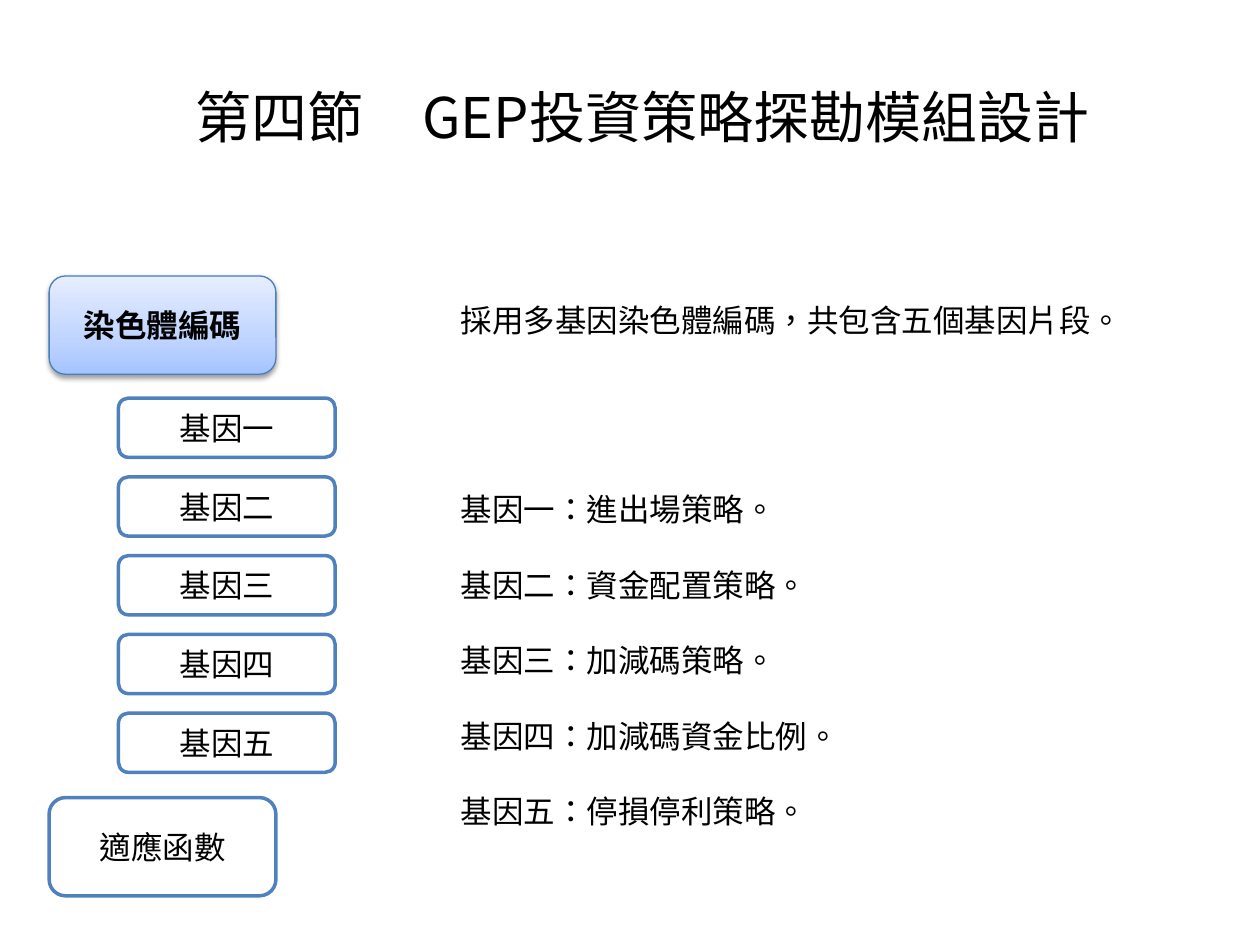
from copy import deepcopy

from lxml import etree
from pptx import Presentation
from pptx.dml.color import RGBColor
from pptx.enum.lang import MSO_LANGUAGE_ID
from pptx.enum.shapes import MSO_SHAPE
from pptx.enum.text import MSO_ANCHOR, PP_ALIGN
from pptx.oxml import parse_xml
from pptx.oxml.ns import nsdecls, qn
from pptx.util import Inches, Pt

ROUNDED = MSO_SHAPE.ROUNDED_RECTANGLE
CENTER, LEFT = PP_ALIGN.CENTER, PP_ALIGN.LEFT
MIDDLE, TOP = MSO_ANCHOR.MIDDLE, MSO_ANCHOR.TOP
CHINESE = MSO_LANGUAGE_ID.TRADITIONAL_CHINESE
FONT = "Noto Sans CJK SC"
COLORS = {"text": "000000", "white": "FFFFFF", "line": "4F81BD", "active_line": "4B7EBC"}
ACTIVE_STOPS = [(0, "A4C4FF"), (0.35, "BFD4FF"), (1, "E6EEFF")]
GENES = {
    "基因一": "進出場策略。",
    "基因二": "資金配置策略。",
    "基因三": "加減碼策略。",
    "基因四": "加減碼資金比例。",
    "基因五": "停損停利策略。",
}


class SlideBuilder:
    """Holds the style and the current slide, and adds each kind of element."""

    def __init__(self, prs):
        self.s = prs.slides.add_slide(prs.slide_layouts[5])

    def format_text(self, tf, size, align=LEFT, anchor=TOP, bold=False):
        tf.word_wrap = True
        tf.vertical_anchor = anchor
        for p in tf.paragraphs:
            p.alignment = align
            for r in p.runs:
                r.font.name = FONT
                r.font.size = Pt(size)
                r.font.bold = bold
                r.font.language_id = CHINESE
                r.font.color.rgb = RGBColor.from_string(COLORS["text"])
                r.font._element.find(qn("a:latin")).addnext(
                    parse_xml(f'<a:ea {nsdecls("a")} typeface="{FONT}"/>'))

    def title(self, text, left, top, width, height, tab):
        sp = self.s.shapes.title
        sp.left, sp.top, sp.width, sp.height = map(Inches, (left, top, width, height))
        tf = sp.text_frame
        tf.text = text
        tabs = etree.SubElement(tf.paragraphs[0]._p.get_or_add_pPr(), qn("a:tabLst"))
        etree.SubElement(tabs, qn("a:tab"), pos=str(Inches(tab)), algn="l")
        self.format_text(tf, 32, CENTER, MIDDLE)

    def box(self, text, left, top, width, height, active=False):
        sp = self.s.shapes.add_shape(ROUNDED, *map(Inches, (left, top, width, height)))
        sp.shadow.inherit = False
        sp.line.color.rgb = RGBColor.from_string(COLORS["active_line" if active else "line"])
        sp.line.width = Pt(0.75 if active else 2)
        if active:
            self.gradient(sp)
            self.drop_shadow(sp)
        else:
            sp.fill.solid()
            sp.fill.fore_color.rgb = RGBColor.from_string(COLORS["white"])
        sp.text_frame.text = text
        self.format_text(sp.text_frame, 18, CENTER, MIDDLE, active)

    def gradient(self, sp):
        sp.fill.gradient()
        sp.fill.gradient_angle = 90
        stops = sp._element.spPr.find(qn("a:gradFill")).find(qn("a:gsLst"))
        stops.append(deepcopy(stops[0]))
        for stop, (position, color) in zip(sp.fill.gradient_stops, ACTIVE_STOPS):
            stop.position = position
            stop.color.rgb = RGBColor.from_string(color)

    def drop_shadow(self, sp):
        sp._element.spPr.find(qn("a:effectLst")).append(parse_xml(
            f'<a:outerShdw {nsdecls("a")} blurRad="{Pt(3.1)}" dist="{Pt(1.6)}" '
            'dir="5400000" rotWithShape="0"><a:srgbClr val="000000">'
            '<a:alpha val="38000"/></a:srgbClr></a:outerShdw>'))

    def description(self, intro, items, left, top, width, height, line=21.6):
        tf = self.s.shapes.add_textbox(*map(Inches, (left, top, width, height))).text_frame
        tf.text = "\n".join([intro, *items])
        for i, p in enumerate(tf.paragraphs):
            p.line_spacing = Pt(line)
            if i:
                p.space_before = Pt(line * (4 if i == 1 else 1))
        self.format_text(tf, 18)


def main():
    prs = Presentation()
    prs.slide_width, prs.slide_height = Inches(10), Inches(7.5)
    slide = SlideBuilder(prs)
    slide.title("第四節\tGEP投資策略探勘模組設計", 0.6, 0.3, 9, 1.25, tab=1.8)
    slide.box("染色體編碼", 0.39, 2.19, 1.8, 0.78, active=True)
    slide.box("適應函數", 0.39, 6.33, 1.8, 0.78)
    for i, gene in enumerate(GENES):
        slide.box(gene, 0.94, 3.16 + 0.625 * i, 1.72, 0.47)
    slide.description("採用多基因染色體編碼，共包含五個基因片段。",
                      [f"{gene}：{strategy}" for gene, strategy in GENES.items()],
                      3.56, 2.34, 5.5, 4.34)
    prs.save("out.pptx")


if __name__ == "__main__":
    main()
